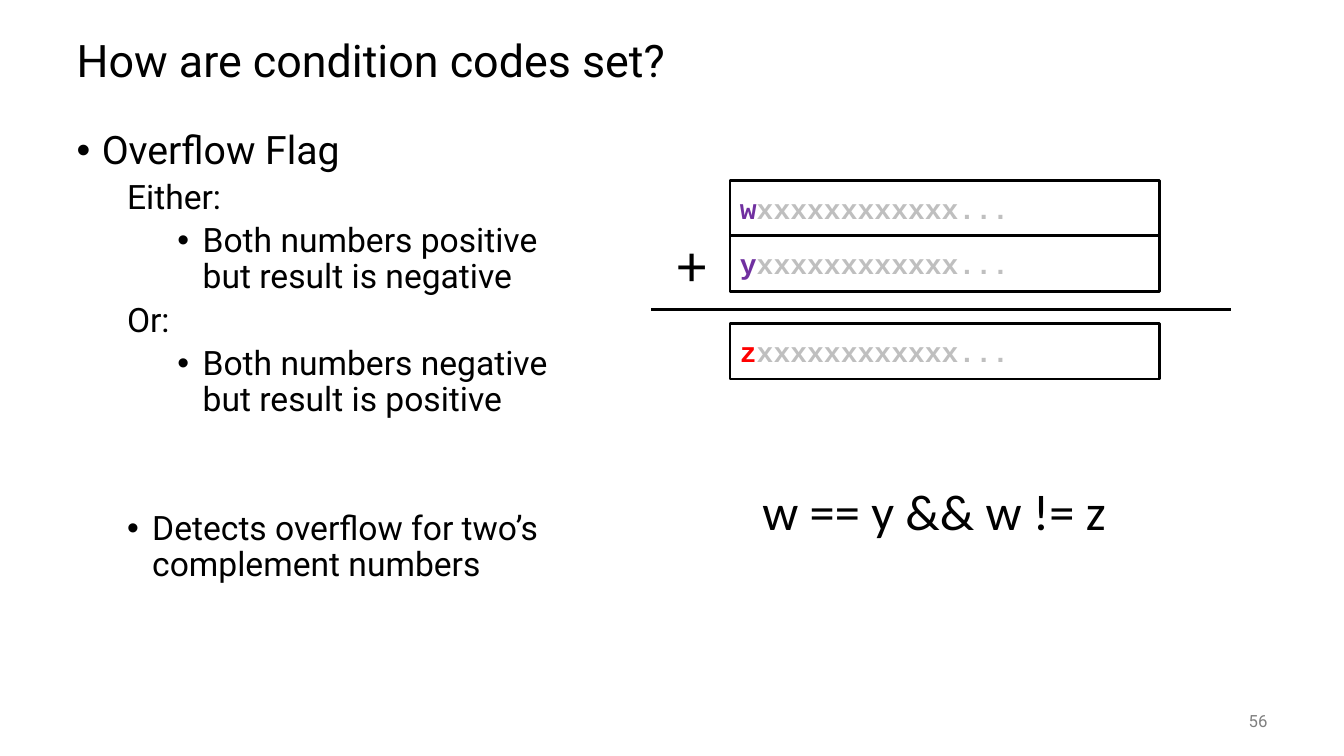
from dataclasses import dataclass

from lxml import etree
from pptx import Presentation
from pptx import util as u
from pptx.dml.color import RGBColor
from pptx.enum import shapes, text
from pptx.oxml import ns

LEFT = text.PP_ALIGN.LEFT
CENTER = text.PP_ALIGN.CENTER
RIGHT = text.PP_ALIGN.RIGHT
TOP = text.MSO_ANCHOR.TOP
MIDDLE = text.MSO_ANCHOR.MIDDLE


@dataclass(frozen=True)
class Theme:
    sans: str = "Roboto"
    plain: str = "Calibri"
    mono: str = "Courier New"
    ink: str = "000000"
    number: str = "808080"
    same: str = "7030A0"
    differ: str = "FF0000"
    faded: str = "BFBFBF"
    title: int = 32
    head: int = 28
    body: int = 24
    code: int = 20
    sign: int = 42
    rule: int = 36
    small: int = 12
    line: int = 2


class Deck:
    SCALE = 9144

    def __init__(self, theme, width, height):
        self.theme = theme
        self.show = Presentation()
        self.show.slide_width, self.show.slide_height = self.px(width, height)
        self.slide = self.show.slides.add_slide(self.show.slide_layouts[1])

    def px(self, *nums):
        return [u.Emu(n * self.SCALE) for n in nums]

    def place(self, shape, box):
        shape.left, shape.top, shape.width, shape.height = self.px(*box)

    def style(self, run, font, size, color, bold=False):
        run.font.name = font
        run.font.size = u.Pt(size)
        run.font.bold = bold
        run.font.color.rgb = RGBColor.from_string(color)

    def frame(self, shape, anchor):
        frame = shape.text_frame
        frame.word_wrap = True
        frame.auto_size = text.MSO_AUTO_SIZE.NONE
        frame.vertical_anchor = anchor
        return frame

    def title(self, words, box):
        shape = self.slide.shapes.title
        self.place(shape, box)
        frame = self.frame(shape, MIDDLE)
        frame.text = words
        para = frame.paragraphs[0]
        para.alignment = LEFT
        para.line_spacing = 0.9
        self.style(para.runs[0], self.theme.sans, self.theme.title, self.theme.ink)

    def bullet(self, para, indent, mark):
        props = para._p.get_or_add_pPr()
        hang = 25 if mark else 0
        props.set("marL", str(indent * self.SCALE))
        props.set("indent", str(-hang * self.SCALE))
        if mark:
            font = etree.SubElement(props, ns.qn("a:buFont"))
            font.set("typeface", "Arial")
            etree.SubElement(props, ns.qn("a:buChar")).set("char", "•")
        else:
            etree.SubElement(props, ns.qn("a:buNone"))

    def bullets(self, items, box):
        shape = self.slide.placeholders[1]
        self.place(shape, box)
        frame = self.frame(shape, TOP)
        frame.text = "\n".join(item[0] for item in items)
        for para, (_, level, indent, mark, gap) in zip(frame.paragraphs, items):
            self.bullet(para, indent, mark)
            para.level = level
            para.line_spacing = 0.9
            para.space_before = u.Pt(gap)
            size = self.theme.body if level else self.theme.head
            for run in para.runs:
                self.style(run, self.theme.sans, size, self.theme.ink)

    def label(self, words, box, font, size, color, align=CENTER, anchor=TOP):
        frame = self.frame(self.slide.shapes.add_textbox(*self.px(*box)), anchor)
        frame.text = words
        para = frame.paragraphs[0]
        para.alignment = align
        self.style(para.runs[0], font, size, color)

    def stroke(self, line):
        line.color.rgb = RGBColor.from_string(self.theme.ink)
        line.width = u.Pt(self.theme.line)

    def word(self, first, color, box):
        rect = shapes.MSO_SHAPE.RECTANGLE
        shape = self.slide.shapes.add_shape(rect, *self.px(*box))
        shape.shadow.inherit = False
        shape.fill.background()
        self.stroke(shape.line)
        para = self.frame(shape, MIDDLE).paragraphs[0]
        para.alignment = LEFT
        for part, tint in ((first, color), ("x" * 12 + "...", self.theme.faded)):
            run = para.add_run()
            run.text = part
            self.style(run, self.theme.mono, self.theme.code, tint, True)

    def line(self, *ends):
        kind = shapes.MSO_CONNECTOR.STRAIGHT
        line = self.slide.shapes.add_connector(kind, *self.px(*ends))
        self.stroke(line.line)
        etree.SubElement(line._element.spPr, ns.qn("a:effectLst"))


def main():
    theme = Theme()
    deck = Deck(theme, 1333, 750)
    deck.title("How are condition codes set?", (66, 25, 1200, 75))
    deck.bullets(
        [
            ("Overflow Flag", 0, 25, True, 0),
            ("Either:", 1, 50, False, 5),
            ("Both numbers positive\vbut result is negative", 2, 125, True, 5),
            ("Or:", 1, 50, False, 5),
            ("Both numbers negative\vbut result is positive", 2, 125, True, 5),
            ("Detects overflow for two’s complement numbers", 1, 75, True, 66),
        ],
        (66, 125, 561, 550),
    )
    deck.label("56", (1167, 695, 100, 40), theme.sans, theme.small,
               theme.number, RIGHT, MIDDLE)
    for first, color, top in (
        ("w", theme.same, 179),
        ("y", theme.same, 234),
        ("z", theme.differ, 321),
    ):
        deck.word(first, color, (724, top, 426, 55))
    deck.line(646, 307, 1221, 307)
    deck.label("+", (662, 221, 50, 81), theme.plain, theme.sign, theme.ink)
    deck.label("w == y && w != z", (646, 471, 561, 81), theme.plain,
               theme.rule, theme.ink)
    deck.show.save("out.pptx")


if __name__ == "__main__":
    main()
